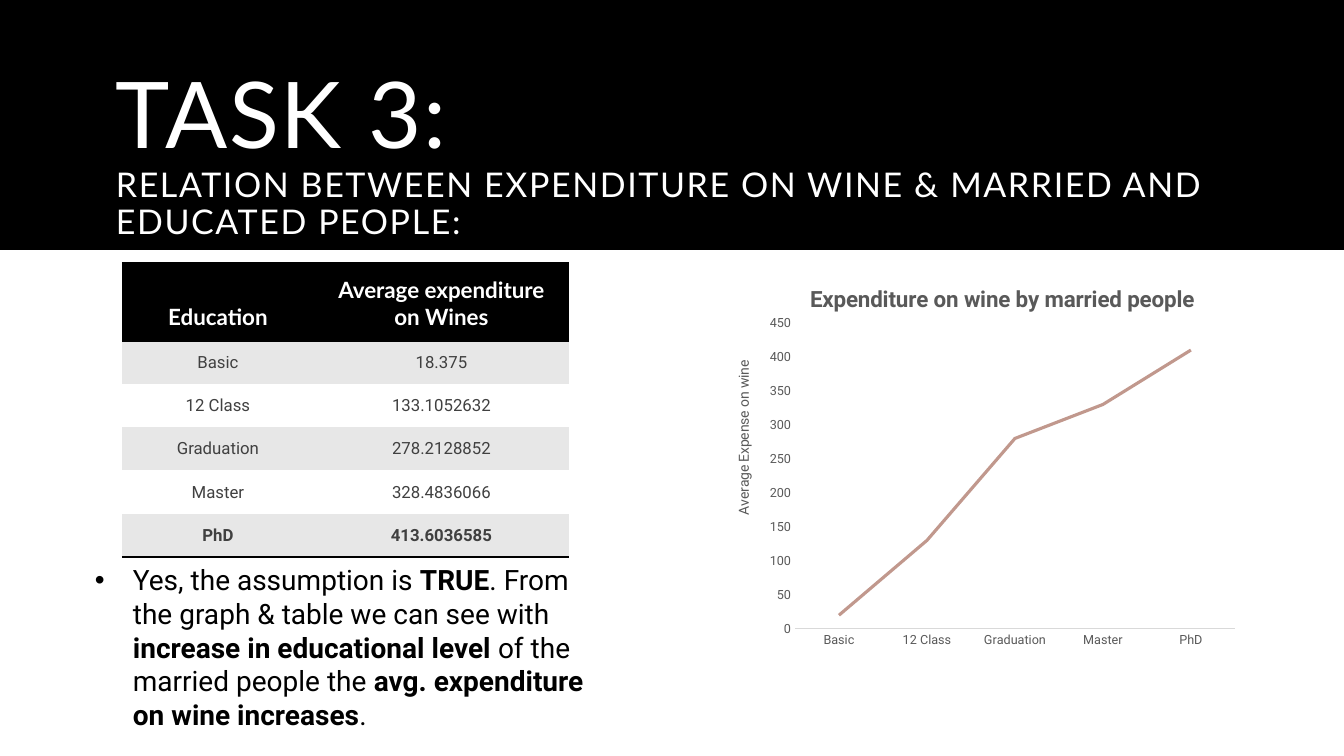
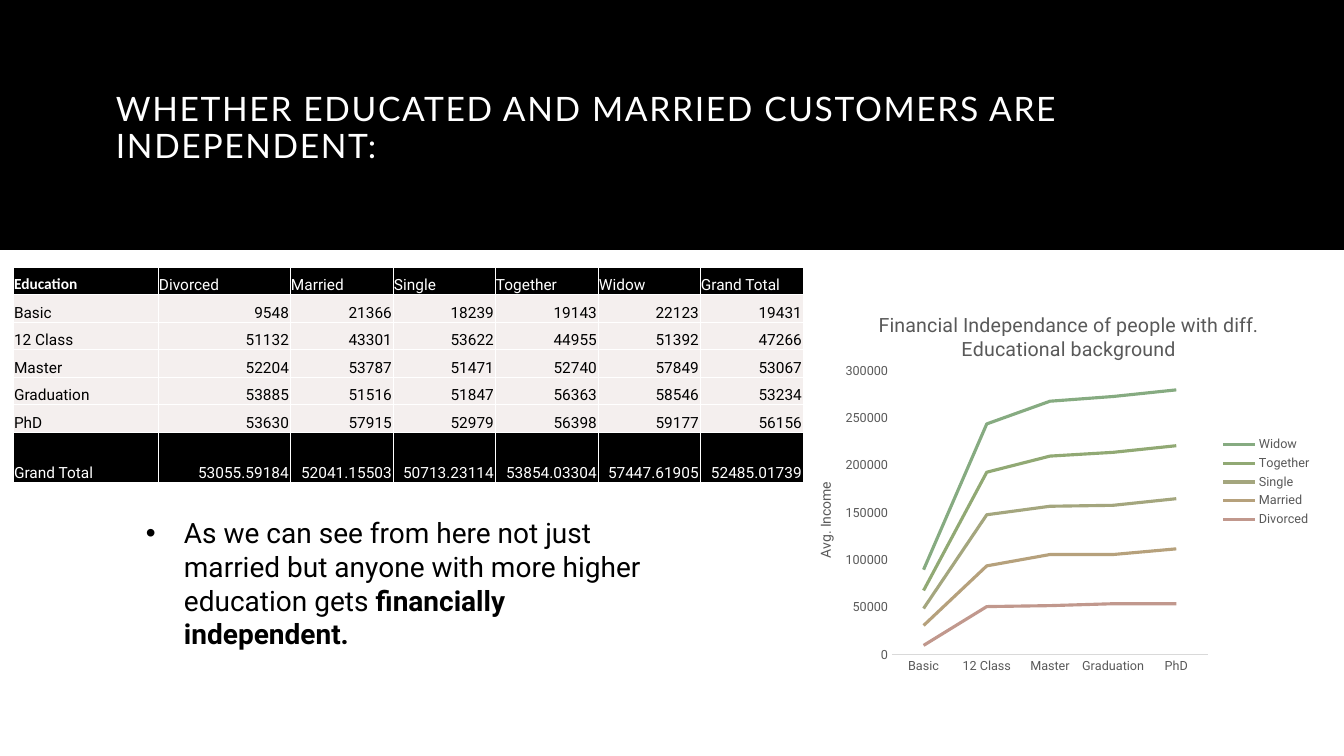
from lxml import etree
from pptx import Presentation
from pptx import util as u
from pptx.chart import data as chart_data
from pptx.dml import color as dml
from pptx.enum import chart as ch
from pptx.enum import shapes, text
from pptx.oxml import ns

EMU_PER_PX = 914400 / 100.8
BLACK, WHITE = "000000", "FFFFFF"
GREY, DARK_GREY, AXIS_GREY = "595959", "404040", "D9D9D9"
STRIPE, ROSE_TINT = "E7E7E7", "F4EFEE"
TITLE_FONT, BODY_FONT = "Lato", "Roboto"
NO_STYLE_TABLE = "{2D5ABB26-0587-4C30-8999-92F81FD0307C}"
LEFT, CENTER, RIGHT = text.PP_ALIGN.LEFT, text.PP_ALIGN.CENTER, text.PP_ALIGN.RIGHT


def px(length):
    return u.Emu(round(length * EMU_PER_PX))


def rgb(value):
    return dml.RGBColor.from_string(value)


def style_font(font, size, color, name=BODY_FONT, bold=False):
    font.size = u.Pt(size)
    font.name = name
    font.bold = bold
    font.color.rgb = rgb(color)


def add_xml(parent, tag, **attributes):
    return etree.SubElement(parent, ns.qn(tag), attributes)


class Deck:
    """Holds the presentation, its style and the current slide."""

    def __init__(self):
        self.presentation = Presentation()
        self.presentation.slide_width = px(1344)
        self.presentation.slide_height = px(756)
        self.slide = None

    def new_slide(self):
        """Start a slide with the black band behind its title."""
        self.slide = self.presentation.slides.add_slide(self.presentation.slide_layouts[6])
        band = self.slide.shapes.add_shape(
            shapes.MSO_SHAPE.RECTANGLE, 0, 0, px(1344), px(250))
        band.shadow.inherit = False
        band.fill.solid()
        band.fill.fore_color.rgb = rgb(BLACK)
        band.line.fill.background()

    def text_box(self, left, top, width, height):
        box = self.slide.shapes.add_textbox(px(left), px(top), px(width), px(height))
        box.text_frame.word_wrap = True
        return box.text_frame

    def title(self, top, lines, sizes):
        frame = self.text_box(106, top, 1132, 188)
        frame.vertical_anchor = text.MSO_ANCHOR.MIDDLE
        paragraph = frame.paragraphs[0]
        paragraph.text = "\v".join(lines)
        paragraph.line_spacing = 0.9
        for run, size in zip(paragraph.runs, sizes):
            style_font(run.font, size, WHITE, TITLE_FONT)
            run.font._element.set("spc", "120")

    def bullet(self, left, top, width, height, content):
        """Add one bullet; every second part between asterisks is bold."""
        paragraph = self.text_box(left, top, width, height).paragraphs[0]
        for index, part in enumerate(content.split("*")):
            run = paragraph.add_run()
            run.text = part
            style_font(run.font, 20, BLACK, bold=index % 2 == 1)
        properties = paragraph._p.get_or_add_pPr()
        properties.set("marL", str(px(38)))
        properties.set("indent", str(-px(38)))
        add_xml(properties, "a:buFont", typeface="Arial")
        add_xml(properties, "a:buChar", char="•")

    def table(self, left, top, widths, heights):
        frame = self.slide.shapes.add_table(
            len(heights), len(widths), px(left), px(top), px(sum(widths)), px(sum(heights)))
        table = frame.table
        table.first_row = table.horz_banding = False
        table._tbl.tblPr.find(ns.qn("a:tableStyleId")).text = NO_STYLE_TABLE
        for column, width in zip(table.columns, widths):
            column.width = px(width)
        for row, height in zip(table.rows, heights):
            row.height = px(height)
        return table

    def cell(self, cell, content, fill, margins, align, borders="",
             border_color=BLACK, border_width=2, **font):
        """Fill a cell; borders lists its sides in the order L, R, T, B."""
        cell.text = content
        cell.vertical_anchor = text.MSO_ANCHOR.BOTTOM
        (cell.margin_left, cell.margin_top,
         cell.margin_right, cell.margin_bottom) = map(px, margins)
        paragraph = cell.text_frame.paragraphs[0]
        paragraph.alignment = align
        style_font(paragraph.runs[0].font, **font)
        properties = cell._tc.get_or_add_tcPr()
        for side in borders:
            line = add_xml(properties, f"a:ln{side}", w=str(u.Pt(border_width)))
            add_xml(add_xml(line, "a:solidFill"), "a:srgbClr", val=border_color)
        cell.fill.solid()
        cell.fill.fore_color.rgb = rgb(fill)

    def line_chart(self, box, plot_box, kind, categories, series, colors, title, title_at,
                   axis_title, axis_title_at, maximum, step,
                   title_size=14, title_bold=False, legend=False):
        """Add a line chart; all places are in slide px."""
        data = chart_data.CategoryChartData(number_format="General")
        data.categories = categories
        for name, values in series.items():
            data.add_series(name, values)
        chart = self.slide.shapes.add_chart(kind, *map(px, box), data).chart
        style_font(chart.font, 10, BLACK)

        self.chart_text(chart.chart_title, title, title_size, title_bold)
        chart.chart_title.include_in_layout = False
        for line, color in zip(chart.plots[0].series, colors):
            line.smooth = False
            line.marker.style = ch.XL_MARKER_STYLE.NONE
            line.format.line.color.rgb = rgb(color)
            line.format.line.width = u.Pt(2.25)
        chart.plots[0].vary_by_categories = False

        for axis in (chart.category_axis, chart.value_axis):
            axis.has_major_gridlines = False
            axis.major_tick_mark = axis.minor_tick_mark = ch.XL_TICK_MARK.NONE
            style_font(axis.tick_labels.font, 9, GREY)
        chart.category_axis.format.line.color.rgb = rgb(AXIS_GREY)
        chart.category_axis.format.line.width = u.Pt(0.75)
        values_axis = chart.value_axis
        values_axis.format.line.fill.background()
        values_axis.minimum_scale, values_axis.maximum_scale = 0, maximum
        values_axis.major_unit = step
        values_axis.tick_labels.number_format = "0"
        values_axis.tick_labels.number_format_is_linked = False
        frame = self.chart_text(values_axis.axis_title, axis_title, 10)
        frame._txBody.bodyPr.set("rot", "-5400000")
        frame._txBody.bodyPr.set("vert", "horz")

        chart.has_legend = legend
        if legend:
            chart.legend.position = ch.XL_LEGEND_POSITION.RIGHT
            chart.legend.include_in_layout = False
            style_font(chart.legend.font, 9, GREY)

        self.place(chart._chartSpace.chart.plotArea, 0, box, plot_box)
        self.place(chart.chart_title._element, 1, box, title_at)
        self.place(values_axis.axis_title._element, 1, box, axis_title_at)

    @staticmethod
    def chart_text(holder, content, size, bold=False):
        frame = holder.text_frame
        frame.text = content
        style_font(frame.paragraphs[0].runs[0].font, size, GREY, bold=bold)
        return frame

    @staticmethod
    def place(element, index, box, position):
        """Fix a chart part at a left, top and, for the plot, width and height."""
        for layout in element.findall(ns.qn("c:layout")):
            element.remove(layout)
        layout = etree.Element(ns.qn("c:layout"))
        element.insert(index, layout)
        manual = add_xml(layout, "c:manualLayout")
        if len(position) == 4:
            add_xml(manual, "c:layoutTarget", val="inner")
        for side in "xy":
            add_xml(manual, f"c:{side}Mode", val="edge")
        left, top, width, height = box
        origins, extents = (left, top, 0, 0), (width, height, width, height)
        for name, value, origin, extent in zip("xywh", position, origins, extents):
            add_xml(manual, f"c:{name}", val=f"{(value - origin) / extent:.4f}")


def wine_slide(deck):
    spending = {"Basic": 18.375, "12 Class": 133.1052632, "Graduation": 278.2128852,
                "Master": 328.4836066, "PhD": 413.6036585}
    deck.new_slide()
    deck.title(61, ["TASK 3:", "RELATION BETWEEN EXPENDITURE ON WINE & MARRIED AND "
                    "EDUCATED PEOPLE:"], [65.7, 24.3])

    rows = [("Education", "Average expenditure on Wines"), *spending.items()]
    table = deck.table(122, 263, [186, 261], [78, 43, 43, 43, 44, 43])
    last = len(rows) - 1
    for r, row in enumerate(rows):
        if r == 0:
            look = dict(fill=BLACK, borders="TB", size=16, color=WHITE,
                        name=TITLE_FONT, bold=True)
        else:
            look = dict(fill=STRIPE if r % 2 else WHITE, borders="B" if r == last else "",
                        size=12, color=DARK_GREY, bold=r == last)
        for c, value in enumerate(row):
            deck.cell(table.cell(r, c), str(value), margins=(23, 11, 17, 11),
                      align=CENTER, **look)

    rounded = [round(value / 10) * 10 for value in spending.values()]
    deck.line_chart(
        (716, 259, 531, 396), (795, 323, 440, 306), ch.XL_CHART_TYPE.LINE,
        list(spending), {"Series 1": rounded}, ["C1988D"],
        "Expenditure on wine by married people", (806, 281),
        "Average Expense on wine", (732, 358), 450, 50, title_size=16, title_bold=True)
    deck.bullet(85, 558, 522, 179,
                "Yes, the assumption is *TRUE*. From the graph & table we can see with "
                "*increase in educational level *of the married people the "
                "*avg. expenditure on wine increases*.")


def income_slide(deck):
    header = ["Education", "Divorced", "Married", "Single", "Together", "Widow", "Grand Total"]
    incomes = {
        "Basic": [9548, 21366, 18239, 19143, 22123, 19431],
        "12 Class": [51132, 43301, 53622, 44955, 51392, 47266],
        "Master": [52204, 53787, 51471, 52740, 57849, 53067],
        "Graduation": [53885, 51516, 51847, 56363, 58546, 53234],
        "PhD": [53630, 57915, 52979, 56398, 59177, 56156],
    }
    totals = ["Grand Total", 53055.59184, 52041.15503, 50713.23114,
              53854.03304, 57447.61905, 52485.01739]
    deck.new_slide()
    deck.title(35, ["WHETHER EDUCATED AND MARRIED CUSTOMERS ARE INDEPENDENT:"], [24])

    rows = [header, *([level, *values] for level, values in incomes.items()), totals]
    table = deck.table(13, 267, [145, 132, 103, 102, 103, 102, 103], [27, 28] * 3 + [50])
    for r, row in enumerate(rows):
        dark = r in (0, len(rows) - 1)
        for c, value in enumerate(row):
            corner = r == c == 0
            deck.cell(table.cell(r, c), str(value), fill=BLACK if dark else ROSE_TINT,
                      margins=(1, 1, 1, 0), align=RIGHT if r and c else LEFT,
                      borders="LRTB", border_color=WHITE, border_width=0.5,
                      size=11, color=WHITE if dark else BLACK,
                      name="Calibri" if corner else BODY_FONT, bold=corner)

    rounded = [[round(value / 1000) * 1000 for value in values] for values in incomes.values()]
    deck.line_chart(
        (791, 284, 531, 396), (892, 371, 316, 284), ch.XL_CHART_TYPE.LINE_STACKED,
        list(incomes), dict(zip(header[1:-1], zip(*rounded))),
        ["C1988D", "B6A17C", "A4A67E", "91A974", "86AB81"],
        "Financial Independance of people with diff. Educational background", (875, 308),
        "Avg. Income", (814, 480), 300000, 50000, legend=True)
    deck.bullet(136, 511, 545, 112,
                "As we can see from here not just married but anyone with more higher "
                "education gets *financially independent.")


def main():
    deck = Deck()
    wine_slide(deck)
    income_slide(deck)
    deck.presentation.save("out.pptx")


if __name__ == "__main__":
    main()
